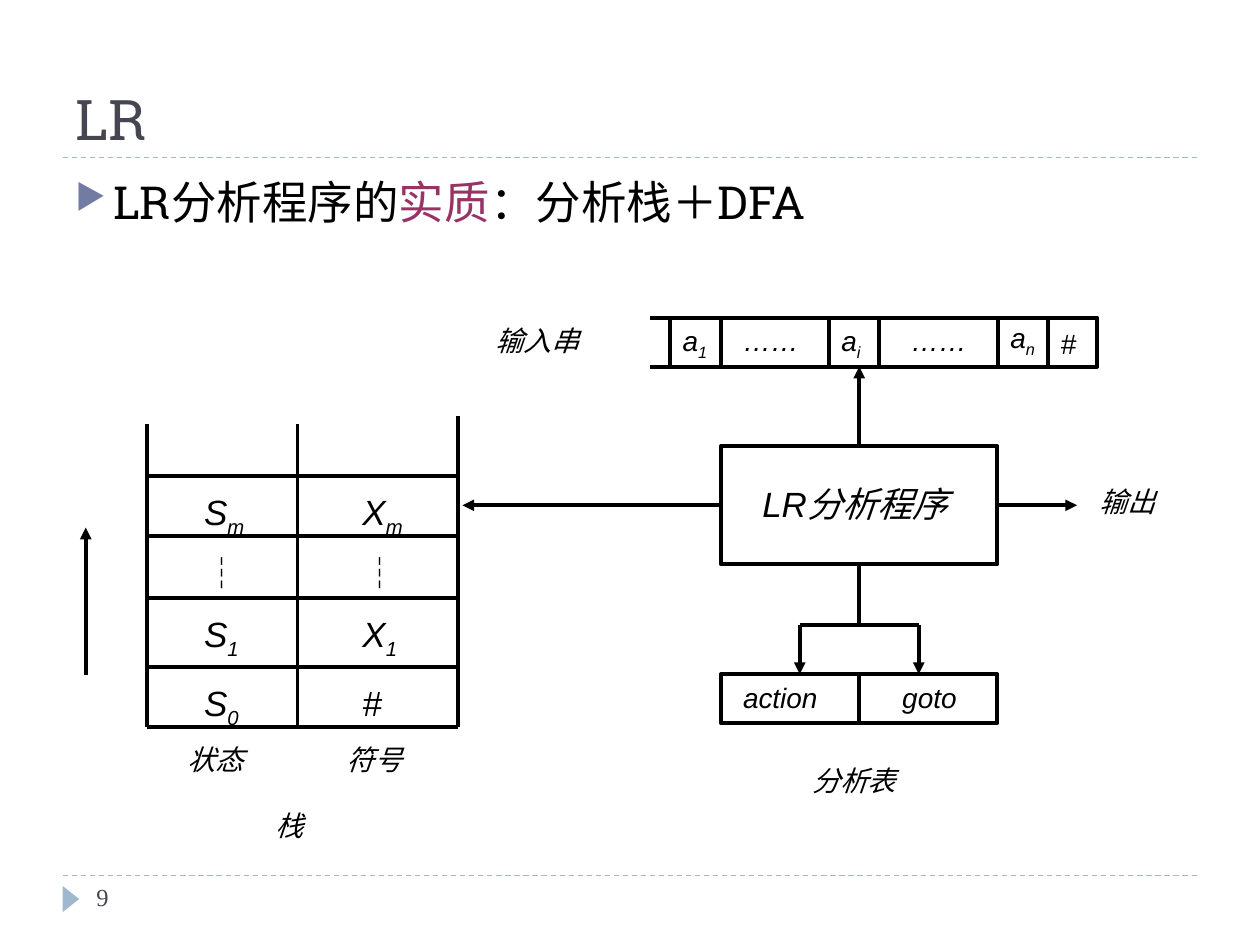
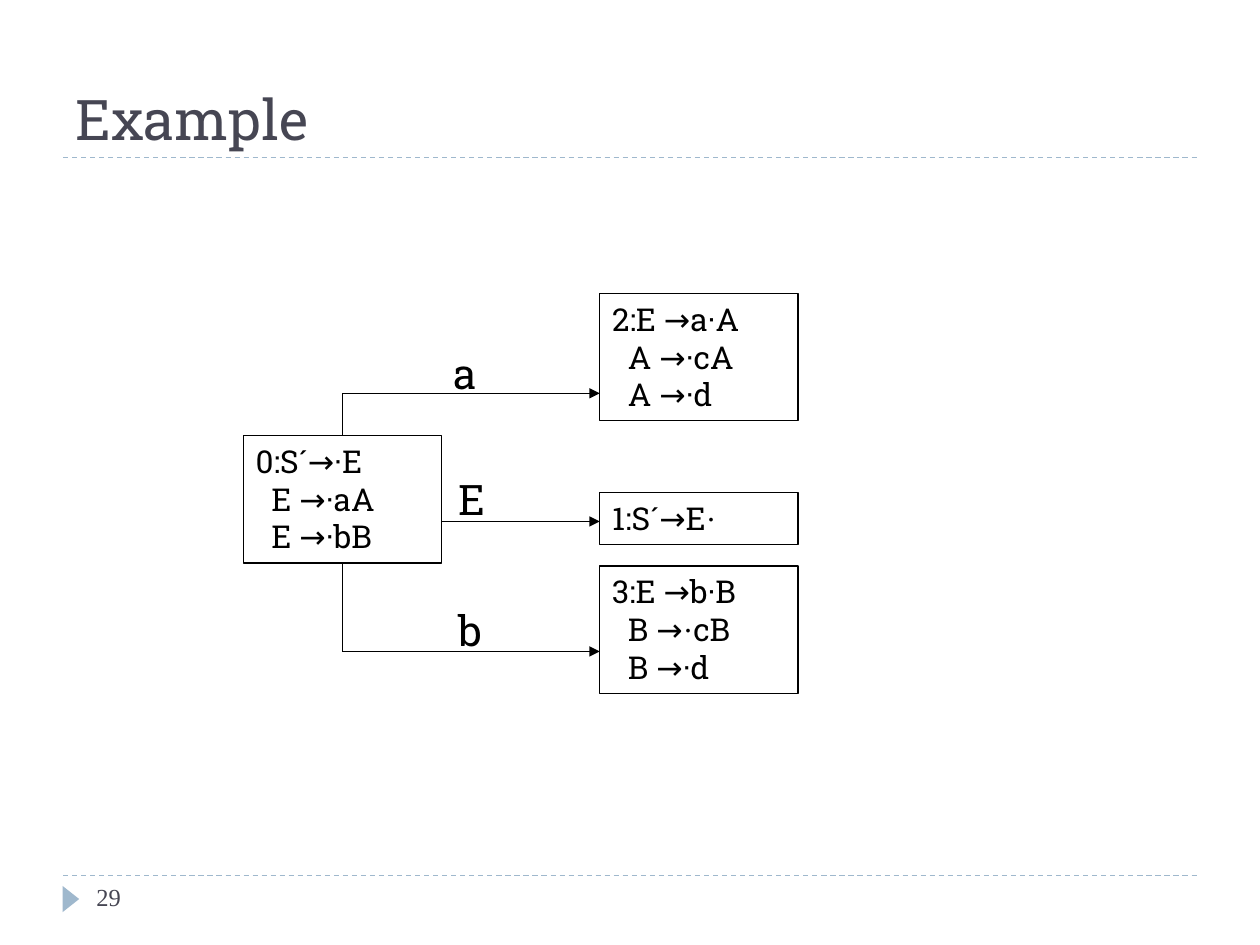
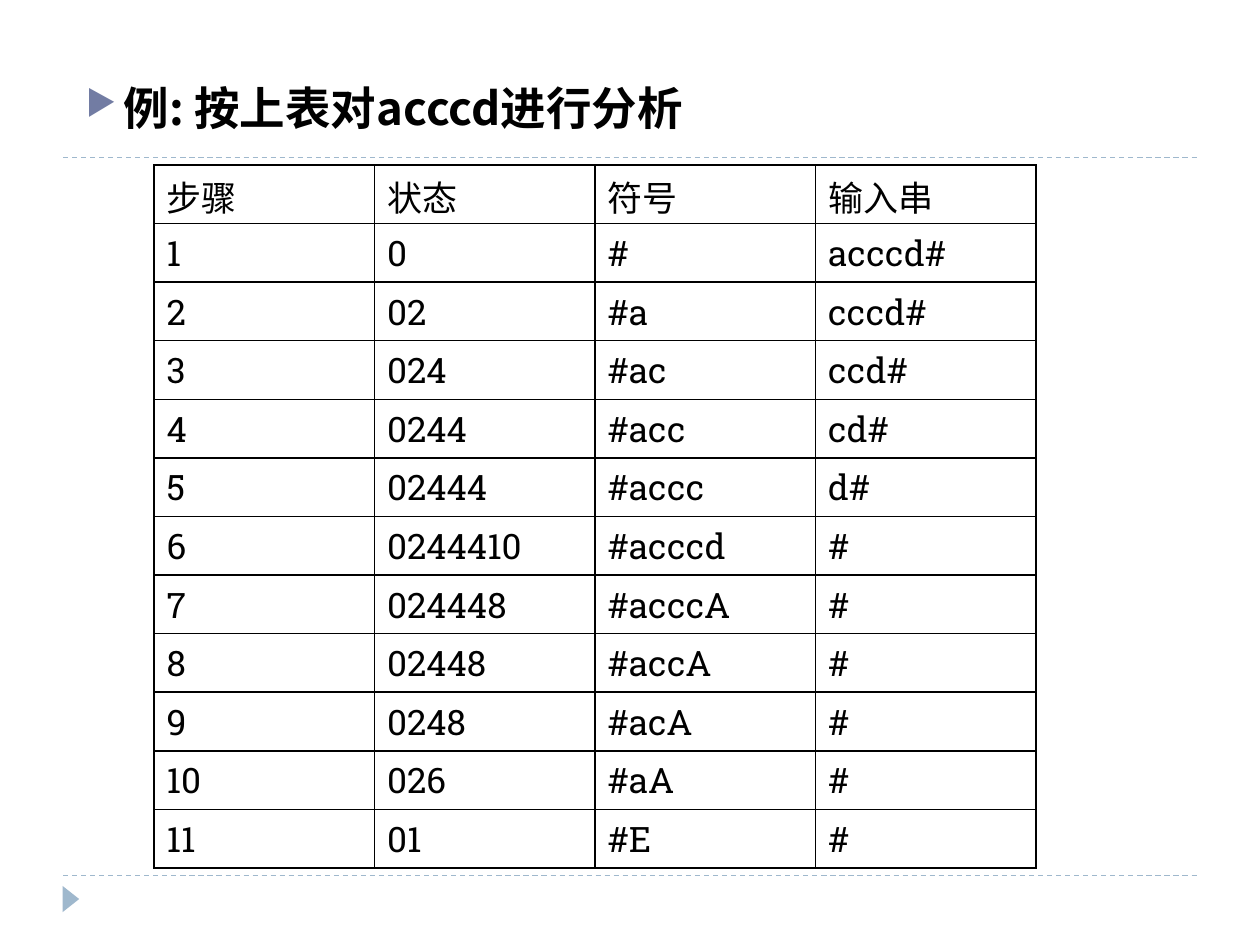
from lxml import etree
from pptx import Presentation
from pptx.dml.color import RGBColor
from pptx.enum.dml import MSO_LINE
from pptx.enum.shapes import MSO_CONNECTOR, MSO_SHAPE
from pptx.enum.text import MSO_ANCHOR
from pptx.oxml.ns import qn
from pptx.util import Pt

STRAIGHT = MSO_CONNECTOR.STRAIGHT
RECTANGLE = MSO_SHAPE.RECTANGLE
TRIANGLE = MSO_SHAPE.ISOSCELES_TRIANGLE
DASH = MSO_LINE.DASH
TOP, BOTTOM = MSO_ANCHOR.TOP, MSO_ANCHOR.BOTTOM

COLORS = {
    "ink": "000000",
    "heading": "464653",
    "rule": "9FB8CD",
    "bullet": "727CA3",
    "highlight": "993366",
}
SLAB, SANS, SERIF, CJK = "Roboto Slab", "Arial", "Times New Roman", "Noto Sans CJK SC"
THICK, THIN = 2.25, 0.75


def write(text_frame, lines, size, font=SLAB, color="ink", bold=False, italic=False,
          bullet=False, hang=0, anchor=TOP):
    """Fill a text frame; a line is a list of runs, a run is a string or (string, style)."""
    text_frame.word_wrap = True
    text_frame.vertical_anchor = anchor
    for number, runs in enumerate(lines):
        paragraph = text_frame.add_paragraph() if number else text_frame.paragraphs[0]
        properties = paragraph._p.get_or_add_pPr()
        properties.set("algn", "l")
        if number and hang:
            properties.set("marL", str(Pt(hang)))
        if bullet:
            properties.set("marL", str(Pt(21.6)))
            properties.set("indent", str(-Pt(21.6)))
            bullet_color = etree.SubElement(properties, qn("a:buClr"))
            etree.SubElement(bullet_color, qn("a:srgbClr"), val=COLORS["bullet"])
            etree.SubElement(properties, qn("a:buSzPct"), val="76000")
            etree.SubElement(properties, qn("a:buChar"), char="▶")
        paragraph.font.size = Pt(size)
        paragraph.font.name = font
        paragraph.font.bold = bold
        paragraph.font.italic = italic
        paragraph.font.color.rgb = RGBColor.from_string(COLORS[color])
        etree.SubElement(properties.find(qn("a:defRPr")), qn("a:ea"), typeface=CJK)
        for item in runs:
            text, style = (item, {}) if isinstance(item, str) else item
            run = paragraph.add_run()
            run.text = text
            if "color" in style:
                run.font.color.rgb = RGBColor.from_string(COLORS[style["color"]])
            if "font" in style:
                run.font.name = style["font"]
            if "baseline" in style:
                run._r.get_or_add_rPr().set("baseline", style["baseline"])


def add_line(slide, x1, y1, x2, y2, width=THICK, color="ink", arrow=False):
    connector = slide.shapes.add_connector(STRAIGHT, Pt(x1), Pt(y1), Pt(x2), Pt(y2))
    connector.line.width = Pt(width)
    connector.line.color.rgb = RGBColor.from_string(COLORS[color])
    if arrow:
        etree.SubElement(connector.line._get_or_add_ln(), qn("a:tailEnd"), type="triangle")
    etree.SubElement(connector._element.spPr, qn("a:effectLst"))
    return connector


presentation = Presentation()
presentation.slide_width, presentation.slide_height = Pt(720), Pt(540)

# Shared frame: rules, corner triangle, title and page number
slides = []
for title, page in [("LR", "9"), ("Example", "29"), (None, None)]:
    slide = presentation.slides.add_slide(presentation.slide_layouts[6])
    slides.append(slide)
    for y in (500.5, 90):
        add_line(slide, 36, y, 684, y, THIN, "rule").line.dash_style = DASH
    corner = slide.shapes.add_shape(TRIANGLE, Pt(33), Pt(509), Pt(15), Pt(9.5))
    corner.rotation = 90
    corner.shadow.inherit = False
    corner.fill.solid()
    corner.fill.fore_color.rgb = RGBColor.from_string(COLORS["rule"])
    corner.line.fill.background()
    if title:
        box = slide.shapes.add_textbox(Pt(36), Pt(12), Pt(648), Pt(78))
        write(box.text_frame, [[title]], 32, color="heading", anchor=BOTTOM)
        box = slide.shapes.add_textbox(Pt(48), Pt(500.5), Pt(156), Pt(29))
        write(box.text_frame, [[page]], 14, SERIF, "heading")
lr_slide, example_slide, trace_slide = slides

# Bulleted statements
essence = ["LR分析程序的", ("实质", {"color": "highlight"}), "：分析栈＋DFA"]
for slide, left, top, height, runs, font, bold in [
    (lr_slide, 36, 96, 60.5, essence, SLAB, False),
    (trace_slide, 42, 42, 40, ["例: 按上表对acccd进行分析"], CJK, True),
]:
    box = slide.shapes.add_textbox(Pt(left), Pt(top), Pt(648), Pt(height))
    write(box.text_frame, [runs], 26, font, bold=bold, bullet=True)

# LR slide: stack of states and symbols
LOWERED = {"baseline": "-25000"}
stack_left, stack_middle, stack_right, stack_bottom = 84.25, 170, 261.5, 415.5
row_tops = [272, 306.5, 341.5, 381]
for x, y in [(stack_left, 242.5), (stack_middle, 242.5), (stack_right, 237.5)]:
    add_line(lr_slide, x, stack_bottom, x, y)
for y in row_tops + [stack_bottom]:
    add_line(lr_slide, stack_left, y, stack_right, y)
add_line(lr_slide, 49, 386, 49, 301.5, arrow=True)

stack_rows = [
    (["S", ("m", LOWERED)], ["X", ("m", LOWERED)]),
    (["┆"], ["┆"]),
    (["S", ("1", LOWERED)], ["X", ("1", LOWERED)]),
    (["S", ("0", LOWERED)], ["#"]),
]
for row_top, row in zip(row_tops, stack_rows):
    for left, runs in zip((109.5, 200), row):
        dots = runs == ["┆"]
        box = lr_slide.shapes.add_textbox(Pt(left), Pt(row_top + 5), Pt(40), Pt(31))
        write(box.text_frame, [runs], 20, CJK if dots else SANS, italic=not dots)

# LR slide: input tape, program and parsing table
frames = []
for left, top, width, height in [
    (383, 181.5, 244, 28), (412, 255, 158, 67.5), (412, 385.25, 158, 28),
]:
    frame = lr_slide.shapes.add_shape(RECTANGLE, Pt(left), Pt(top), Pt(width), Pt(height))
    frame.shadow.inherit = False
    frame.fill.background()
    frame.line.color.rgb = RGBColor.from_string(COLORS["ink"])
    frame.line.width = Pt(THICK)
    frames.append(frame)
tape, program, parsing_table = frames

for y in (181.5, 209.5):
    add_line(lr_slide, 371.5, y, 394.5, y)
for x in (412, 473.75, 502.5, 570.25, 599):
    add_line(lr_slide, x, 181.5, x, 209.5)

for side, x1, y1, x2, y2, arrow in [
    (0, 491, 255, 491, 209.5, True),
    (1, 412, 288.75, 264.25, 288.75, True),
    (2, 491, 322.5, 491, 357, False),
    (3, 570, 288.75, 615.5, 288.75, True),
]:
    add_line(lr_slide, x1, y1, x2, y2, arrow=arrow).begin_connect(program, side)
add_line(lr_slide, 457, 357, 525, 357)
for x in (457, 525):
    add_line(lr_slide, x, 357, x, 385.25, arrow=True)
divider = add_line(lr_slide, 491, 385.25, 491, 413.25)
divider.begin_connect(parsing_table, 0)
divider.end_connect(parsing_table, 2)

# LR slide: labels
for left, top, width, size, runs in [
    (100, 421, 50.5, 16, ["状态"]),
    (191, 421, 50.5, 16, ["符号"]),
    (150.5, 458.5, 34, 16, ["栈"]),
    (276, 181.5, 67.5, 16, ["输入串"]),
    (383, 181.5, 34, 16, ["a", ("1", LOWERED)]),
    (417.5, 181.5, 51, 16, ["……"]),
    (473.75, 181.5, 34, 16, ["a", ("i", LOWERED)]),
    (513.5, 181.5, 51, 16, ["……"]),
    (570.25, 179.5, 39.5, 16, ["a", ("n", LOWERED)]),
    (599, 183, 22.5, 16, ["#"]),
    (428.5, 272, 124.5, 20, ["LR分析程序"]),
    (621.5, 273.5, 50.5, 16, ["输出"]),
    (417.5, 385.25, 62, 16, ["action"]),
    (508.5, 385.25, 50.5, 16, ["goto"]),
    (457, 432.5, 73.5, 16, ["分析表"]),
]:
    box = lr_slide.shapes.add_textbox(Pt(left), Pt(top), Pt(width), Pt(26.5))
    write(box.text_frame, [runs], size, SANS, italic=True)

# Example slide: item sets
DOT = ("·", {"font": SERIF})
states = []
for left, top, height, lines in [
    (139, 249, 72.75, [["0:S´→·E"], ["E →·aA"], ["E →·bB"]]),
    (342.75, 167.75, 72.75, [["2:E →a·A"], ["A →·cA"], ["A →·d"]]),
    (342.75, 281.5, 29.5, [["1:S´→E", DOT]]),
    (342.75, 323.5, 72.75, [["3:E →b·B"], ["B →", DOT, "cB"], ["B →·d"]]),
]:
    state = example_slide.shapes.add_shape(RECTANGLE, Pt(left), Pt(top), Pt(113.25), Pt(height))
    state.shadow.inherit = False
    state.fill.background()
    state.line.color.rgb = RGBColor.from_string(COLORS["ink"])
    state.line.width = Pt(THIN)
    write(state.text_frame, lines, 18, hang=9)
    states.append(state)
start = states[0]

# Example slide: transitions
for side, edge, y in [(0, 249, 224.75), (2, 321.75, 372.25)]:
    add_line(example_slide, 195.63, edge, 195.63, y, THIN).begin_connect(start, side)
    add_line(example_slide, 195.63, y, 342.75, y, THIN, arrow=True)
add_line(example_slide, 252.25, 298, 342.75, 298, THIN, arrow=True)
for symbol, left, top in [("a", 252, 195), ("E", 255, 267), ("b", 255, 342)]:
    box = example_slide.shapes.add_textbox(Pt(left), Pt(top), Pt(32), Pt(36))
    write(box.text_frame, [[symbol]], 24)

# Trace slide: parsing steps
steps = [
    ("步骤", "状态", "符号", "输入串"),
    ("1", "0", "#", "acccd#"),
    ("2", "02", "#a", "cccd#"),
    ("3", "024", "#ac", "ccd#"),
    ("4", "0244", "#acc", "cd#"),
    ("5", "02444", "#accc", "d#"),
    ("6", "0244410", "#acccd", "#"),
    ("7", "024448", "#acccA", "#"),
    ("8", "02448", "#accA", "#"),
    ("9", "0248", "#acA", "#"),
    ("10", "026", "#aA", "#"),
    ("11", "01", "#E", "#"),
]
table = trace_slide.shapes.add_table(
    len(steps), 4, Pt(88), Pt(94.25), Pt(504), Pt(33.5 * len(steps))).table
table.first_row = table.horz_banding = False
for row_number, step in enumerate(steps):
    for column_number, value in enumerate(step):
        cell = table.cell(row_number, column_number)
        write(cell.text_frame, [[value]], 20)
        cell_properties = cell._tc.get_or_add_tcPr()
        for edge in ("a:lnL", "a:lnR", "a:lnT", "a:lnB"):
            border = etree.SubElement(cell_properties, qn(edge), w=str(Pt(1)))
            border_fill = etree.SubElement(border, qn("a:solidFill"))
            etree.SubElement(border_fill, qn("a:srgbClr"), val=COLORS["ink"])
        cell.fill.background()

presentation.save("out.pptx")
